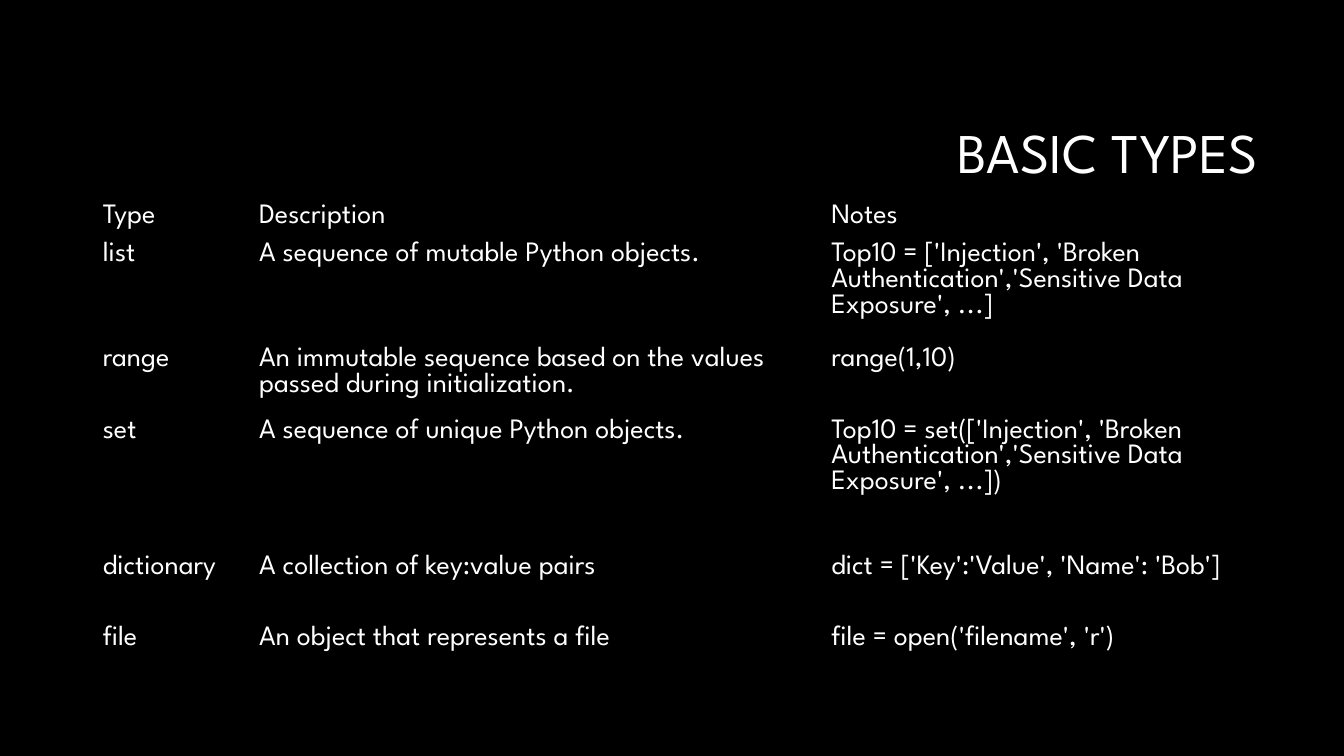
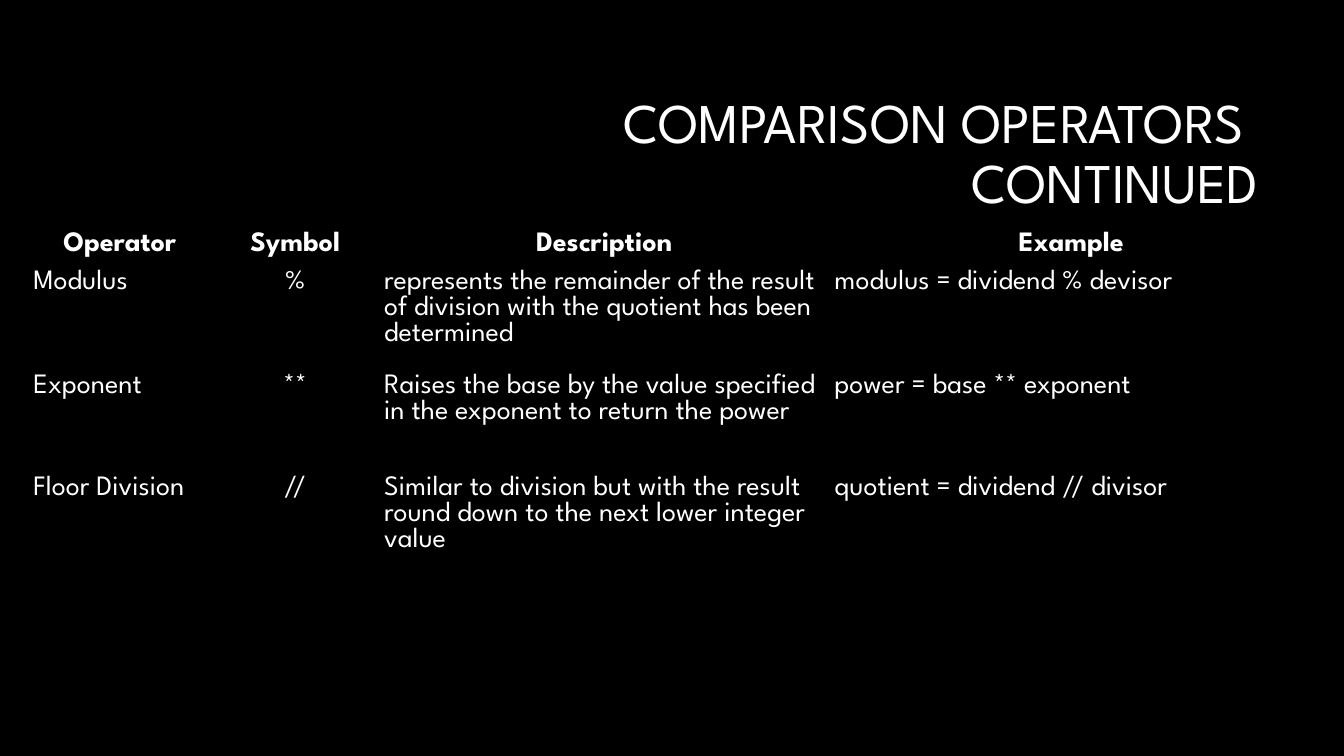
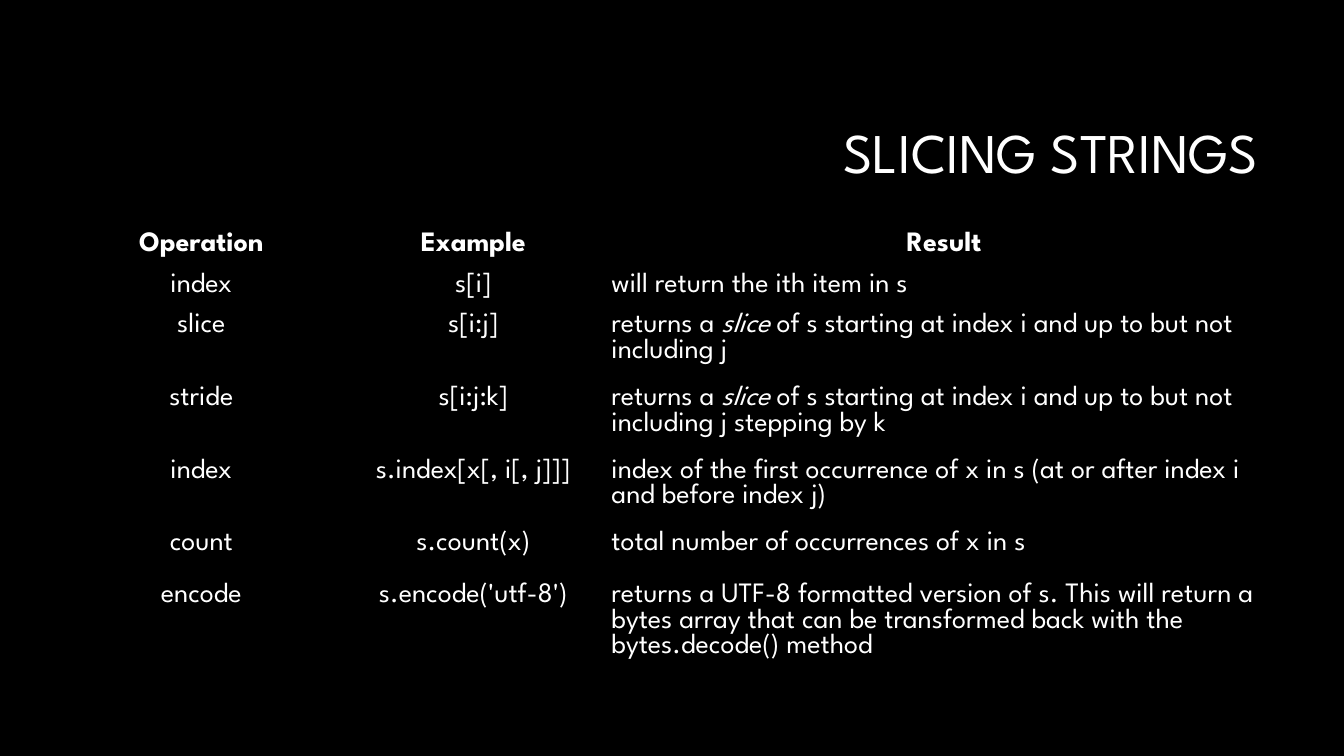
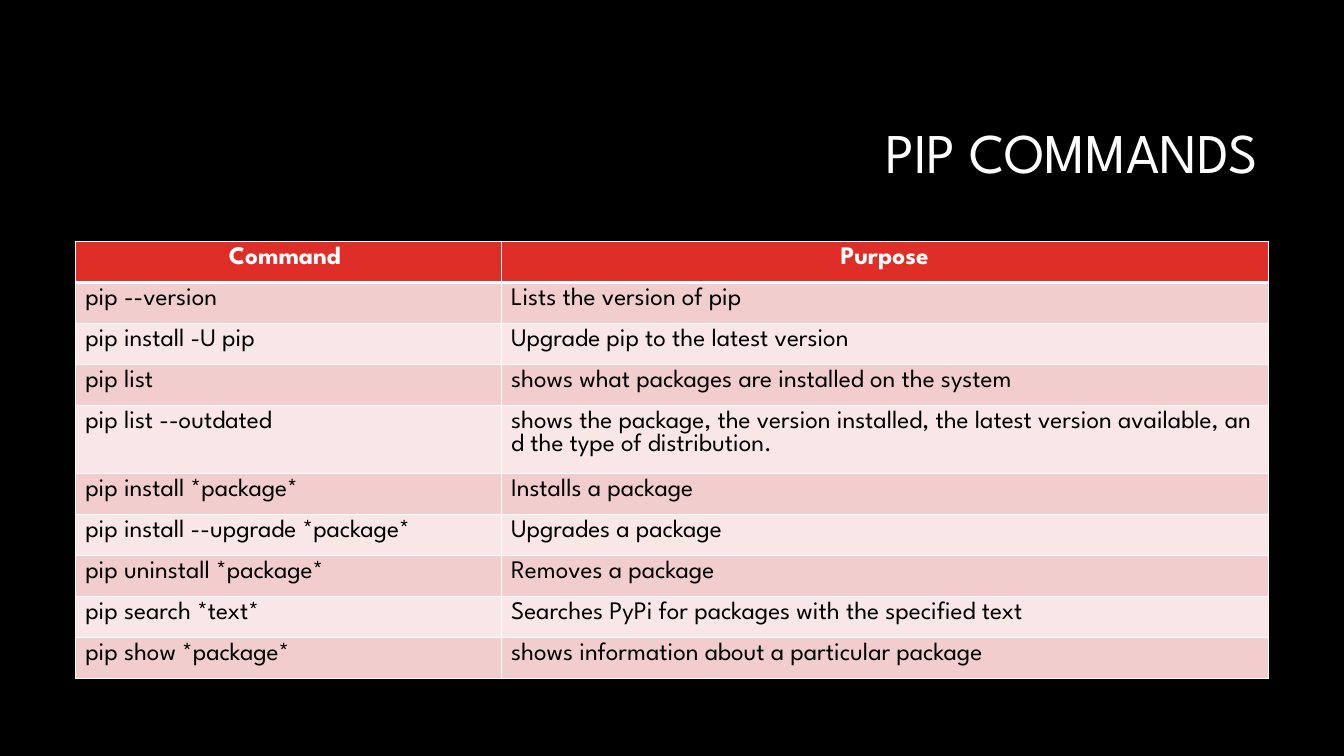
import pptx
import pptx.dml.color
import pptx.enum.text
import pptx.oxml
import pptx.oxml.ns
import pptx.util
from pptx.util import Cm

FONT = "League Spartan"
BLACK, WHITE = "000000", "FFFFFF"
RED, ROSE, PALE_ROSE = "DF2E28", "F2CDCD", "F9E7E7"
PLAIN_TABLE = "{2D5ABB26-0587-4C30-8999-92F81FD0307C}"
NO_BREAK_SPACE = chr(160)
THIN, THICK = 0.96, 3
LEFT = pptx.enum.text.PP_ALIGN.LEFT
CENTER = pptx.enum.text.PP_ALIGN.CENTER
RIGHT = pptx.enum.text.PP_ALIGN.RIGHT
TITLE_BOX = (8.06, 2.13, 23.9, 3.58)


def rgb(hex_color):
    return pptx.dml.color.RGBColor.from_string(hex_color)


def add_run(paragraph, text, size, color, bold=False, italic=False):
    run = paragraph.add_run()
    run.text = text
    run.font.name = FONT
    run.font.size = pptx.util.Pt(size)
    run.font.color.rgb = rgb(color)
    run.font.bold = bold
    run.font.italic = italic


def add_title(slide, lines, box):
    frame = slide.shapes.add_textbox(*map(Cm, box)).text_frame
    frame.word_wrap = True
    frame.vertical_anchor = pptx.enum.text.MSO_ANCHOR.MIDDLE
    paragraph = frame.paragraphs[0]
    paragraph.alignment = RIGHT
    paragraph.line_spacing = 0.9
    for number, line in enumerate(lines):
        if number:
            paragraph.add_line_break()
        add_run(paragraph, line, 40, WHITE)


def add_slide(prs, *title_lines):
    slide = prs.slides.add_slide(prs.slide_layouts[6])
    add_title(slide, title_lines, TITLE_BOX)
    return slide


def set_borders(cell, top, bottom):
    """Draw white borders; top and bottom are widths in points."""
    properties = cell._tc.get_or_add_tcPr()
    for side, width in (("L", THIN), ("R", THIN), ("T", top), ("B", bottom)):
        properties.append(pptx.oxml.parse_xml(
            f'<a:ln{side} {pptx.oxml.ns.nsdecls("a")} w="{pptx.util.Pt(width)}">'
            f'<a:solidFill><a:srgbClr val="{WHITE}"/></a:solidFill></a:ln{side}>'))


def add_grid(slide, left, top, widths, heights, inset, inset_top=0.13):
    """Add an unstyled table, with no bottom inset so that rows keep their height."""
    frame = slide.shapes.add_table(len(heights), len(widths), Cm(left), Cm(top),
                                   Cm(sum(widths)), Cm(sum(heights)))
    table = frame.table
    table.first_row = table.horz_banding = False
    frame._element.xpath(".//a:tableStyleId")[0].text = PLAIN_TABLE
    for column, width in zip(table.columns, widths):
        column.width = Cm(width)
    for row, height in zip(table.rows, heights):
        row.height = Cm(height)
    for cell in table.iter_cells():
        cell.margin_left = cell.margin_right = Cm(inset)
        cell.margin_top, cell.margin_bottom = Cm(inset_top), 0
    return table


def fill_dark_table(table, rows, alignments, bold_header=True):
    """Write white text; a cell given as a list alternates plain and italic."""
    for r, texts in enumerate(rows):
        header = bold_header and r == 0
        for c, text in enumerate(texts):
            cell = table.cell(r, c)
            cell.fill.background()
            paragraph = cell.text_frame.paragraphs[0]
            paragraph.alignment = CENTER if header else alignments[c]
            parts = [text] if isinstance(text, str) else text
            for number, part in enumerate(parts):
                add_run(paragraph, part, 20, WHITE, header, number % 2 == 1)


def fill_banded_table(table, rows):
    for r, texts in enumerate(rows):
        header = r == 0
        band = RED if header else (PALE_ROSE, ROSE)[r % 2]
        for c, text in enumerate(texts):
            cell = table.cell(r, c)
            set_borders(cell, THICK if r == 1 else THIN, THICK if header else THIN)
            cell.fill.solid()
            cell.fill.fore_color.rgb = rgb(band)
            paragraph = cell.text_frame.paragraphs[0]
            paragraph.alignment = CENTER if header else LEFT
            if not header:
                text = text.replace(" ", NO_BREAK_SPACE)
            add_run(paragraph, text, 18, WHITE if header else BLACK, header)


def basic_types(prs):
    slide = add_slide(prs, "BASIC TYPES")
    table = add_grid(slide, 2.44, 5.03, [3.94, 14.42, 10.62],
                     [0.97, 2.62, 1.8, 3.43, 1.8, 0.97], 0.15, 0.1)
    fill_dark_table(table, [
        ("Type", "Description", "Notes"),
        ("list", "A sequence of mutable Python objects.",
         "Top10 = ['Injection', 'Broken Authentication','Sensitive Data Exposure', ...]"),
        ("range", "An immutable sequence based on the values passed during initialization.",
         "range(1,10)"),
        ("set", "A sequence of unique Python objects.",
         "Top10 = set(['Injection', 'Broken Authentication','Sensitive Data Exposure', ...])"),
        ("dictionary", "A collection of key:value pairs",
         "dict = ['Key':'Value', 'Name': 'Bob']"),
        ("file", "An object that represents a file", "file = open('filename', 'r')"),
    ], [LEFT] * 3, bold_header=False)


def comparison_operators(prs):
    slide = add_slide(prs, "COMPARISON OPERATORS ", "CONTINUED")
    table = add_grid(slide, 0.71, 5.78, [4.62, 4.22, 11.35, 12.19],
                     [0.95] + [2.59] * 3, 0.13, 0.07)
    fill_dark_table(table, [
        ("Operator", "Symbol", "Description", "Example"),
        ("Modulus", "%",
         "represents the remainder of the result of division with the quotient "
         "has been determined", "modulus = dividend % devisor"),
        ("Exponent", "**",
         "Raises the base by the value specified in the exponent to return the power",
         "power = base ** exponent"),
        ("Floor Division", "//",
         "Similar to division but with the result round down to the next lower "
         "integer value", "quotient = dividend // divisor"),
    ], [LEFT, CENTER, LEFT, LEFT])


def slicing_strings(prs):
    slide = add_slide(prs, "SLICING STRINGS")
    table = add_grid(slide, 1.52, 5.72, [7.11, 6.6, 17.12],
                     [1.02] * 2 + [1.83] * 3 + [1.3, 3.48], 0.18)
    fill_dark_table(table, [
        ("Operation", "Example", "Result"),
        ("index", "s[i]", "will return the ith item in s"),
        ("slice", "s[i:j]",
         ["returns a ", "slice",
          " of s starting at index i and up to but not including j"]),
        ("stride", "s[i:j:k]",
         ["returns a ", "slice",
          " of s starting at index i and up to but not including j stepping by k"]),
        ("index", "s.index[x[, i[, j]]]",
         "index of the first occurrence of x in s (at or after index i and before index j)"),
        ("count", "s.count(x)", "total number of occurrences of x in s"),
        ("encode", "s.encode('utf-8')",
         "returns a UTF-8 formatted version of s. This will return a bytes array "
         "that can be transformed back with the bytes.decode() method"),
    ], [CENTER, CENTER, LEFT])


def pip_commands(prs):
    slide = add_slide(prs, "PIP COMMANDS")
    table = add_grid(slide, 1.9, 6.09, [10.73, 19.33],
                     [1.03] * 4 + [1.73] + [1.03] * 5, 0.25)
    fill_banded_table(table, [
        ("Command ", "Purpose"),
        ("pip --version", "Lists the version of pip"),
        ("pip install -U pip", "Upgrade pip to the latest version"),
        ("pip list", "shows what packages are installed on the system"),
        ("pip list --outdated",
         "shows the package, the version installed, the latest version available, "
         "and the type of distribution."),
        ("pip install *package*", "Installs a package"),
        ("pip install --upgrade *package*", "Upgrades a package"),
        ("pip uninstall *package*", "Removes a package"),
        ("pip search *text*", "Searches PyPi for packages with the specified text"),
        ("pip show *package*", "shows information about a particular package"),
    ])


def main():
    prs = pptx.Presentation()
    prs.slide_width, prs.slide_height = Cm(33.87), Cm(19.05)
    background = prs.slide_master.background.fill
    background.solid()
    background.fore_color.rgb = rgb(BLACK)
    for build in (basic_types, comparison_operators, slicing_strings, pip_commands):
        build(prs)
    prs.save("out.pptx")


if __name__ == "__main__":
    main()
